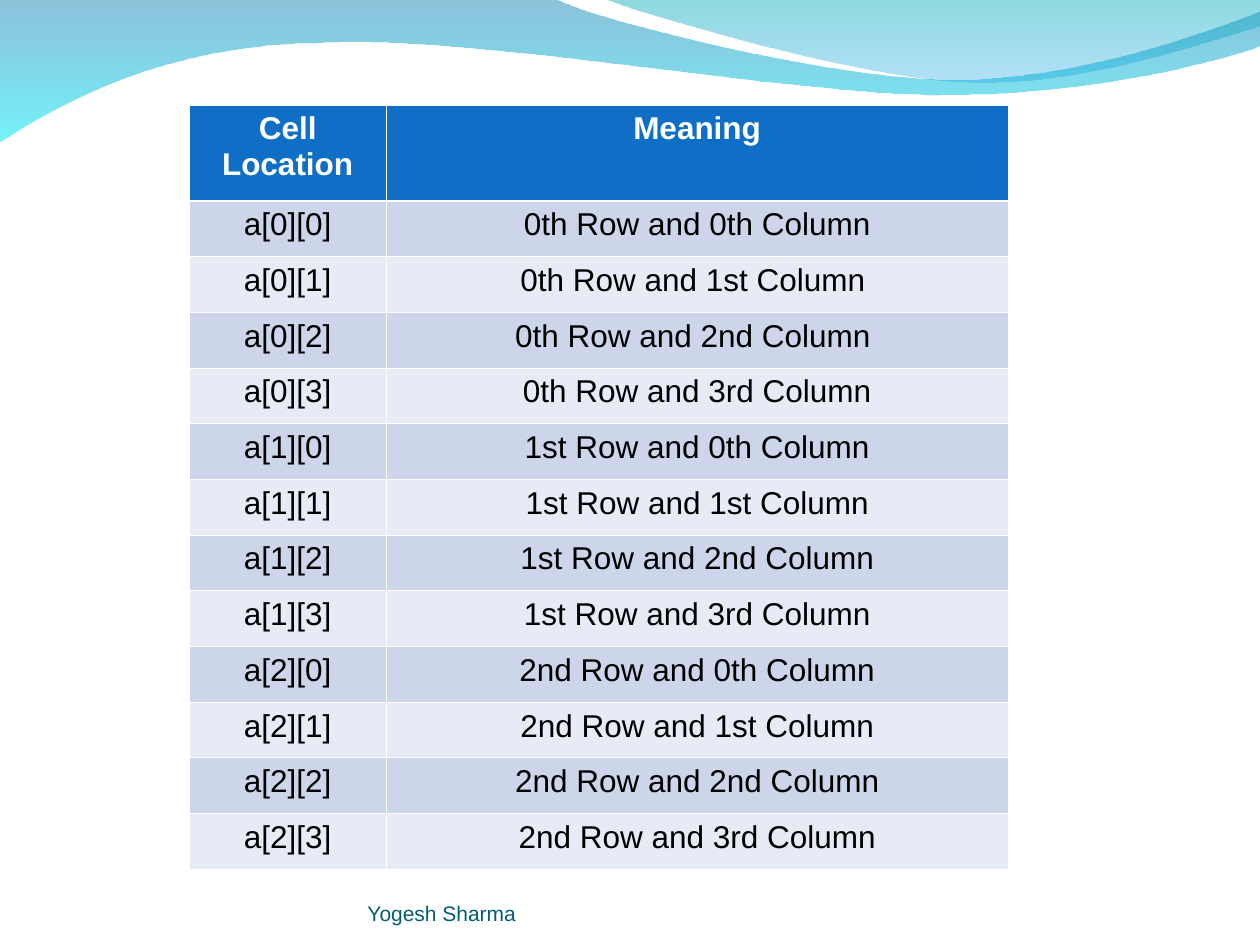
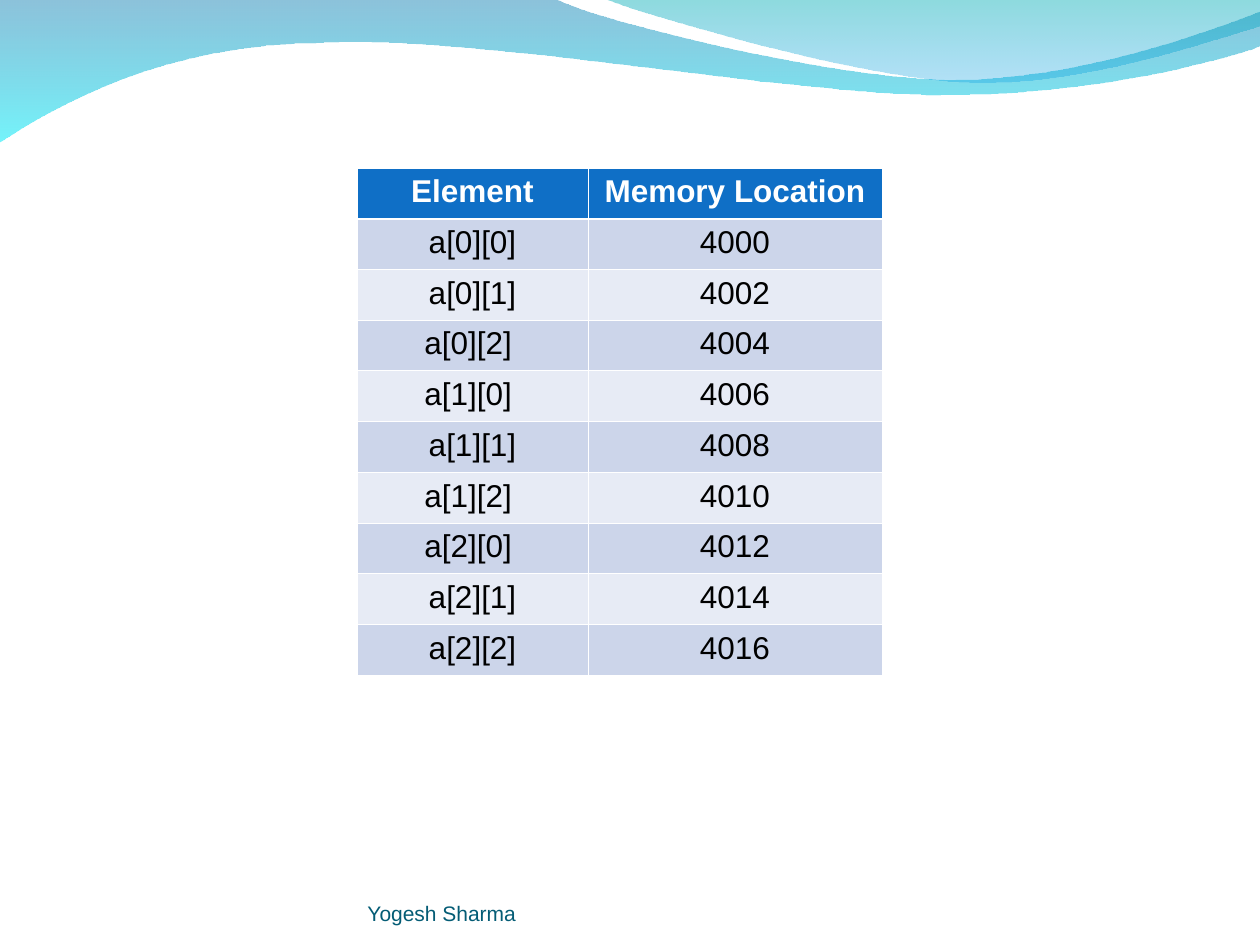
import itertools

import lxml.etree
import pptx
import pptx.dml.color
import pptx.enum.text
import pptx.oxml.ns
import pptx.util

COLORS = {
    "white": "FFFFFF",
    "black": "000000",
    "header": "0F6FC6",
    "odd_row": "CCD5EA",
    "even_row": "E7EBF5",
    "footer": "045C75",
    "wide_top": "0079AF",
    "wide_bottom": "00EBF8",
    "right_top": "00ADB6",
    "right_bottom": "009BE5",
}
FONT = "Arial"
GRID_COLUMNS, GRID_ROWS = 120, 90
SLIDE_WIDTH, SLIDE_HEIGHT = pptx.util.Inches(10), pptx.util.Inches(7.5)
THIN, THICK = 0.45, 1.47
WAVE_BOX = (0, 0, GRID_COLUMNS, GRID_ROWS)
FOOTER_BOX = (35, 83.4, 44, 4.8)

WIDE_WAVE = [
    [(0, -0.01)],
    [(4.4, -0.01)],
    [(4.76, 0.17), (6.64, 0.63), (7.58, 0.63)],
    [(8.53, 0.63), (9.58, 0.26), (10, 0.09)],
    [(10.01, 0.36)],
    [(9.83, 0.44), (8.7, 0.76), (7.46, 0.75)],
    [(6.22, 0.75), (3.82, 0.28), (2.57, 0.34)],
    [(1.29, 0.35), (0.46, 0.83), (-0.01, 1.13)],
    [(0, -0.01)],
]
RIGHT_WAVE = [
    [(4.79, -0.01)],
    [(5.09, 0.11), (6.82, 0.62), (7.69, 0.65)],
    [(8.56, 0.69), (9.61, 0.32), (10, 0.21)],
    [(10, 0)],
    [(4.79, -0.01)],
]

MEANINGS = [
    "0th Row and 0th Column",
    "0th Row and 1st Column ",
    "0th Row and 2nd Column ",
    "0th Row and 3rd Column",
    "1st Row and 0th Column",
    "1st Row and 1st Column",
    "1st Row and 2nd Column",
    "1st Row and 3rd Column",
    "2nd Row and 0th Column",
    "2nd Row and 1st Column",
    "2nd Row and 2nd Column",
    "2nd Row and 3rd Column",
]
ELEMENTS = [
    "a[0][0]", "a[0][1]", "a[0][2] ",
    "a[1][0] ", "a[1][1]", "a[1][2] ",
    "a[2][0] ", "a[2][1]", "a[2][2]",
]


def rgb(name):
    return pptx.dml.color.RGBColor.from_string(COLORS[name])


def across(columns):
    return round(SLIDE_WIDTH * columns / GRID_COLUMNS)


def down(rows):
    return round(SLIDE_HEIGHT * rows / GRID_ROWS)


def place(box):
    left, top, width, height = box
    return across(left), down(top), across(width), down(height)


def format_text(paragraph, size, color, bold=False):
    for span in paragraph.runs:
        span.font.name = FONT
        span.font.size = pptx.util.Pt(size)
        span.font.bold = bold
        span.font.color.rgb = rgb(color)


def bend(shape, segments):
    steps = iter(list(shape.element.spPr.iter(pptx.oxml.ns.qn("a:lnTo"))))
    for segment in segments[1:]:
        first, *others = itertools.islice(steps, len(segment))
        if others:
            first.tag = pptx.oxml.ns.qn("a:cubicBezTo")
        for step in others:
            first.append(step[0])
            step.getparent().remove(step)


def add_wave(page, box, segments, stops):
    left, top, width, _ = place(box)
    unit = width / 10
    points = [
        (round(left + x * unit), round(top + y * unit))
        for x, y in itertools.chain.from_iterable(segments)
    ]
    builder = page.shapes.build_freeform(*points[0])
    builder.add_line_segments(points[1:], close=True)
    wave = builder.convert_to_shape()
    bend(wave, segments)
    wave.shadow.inherit = False
    wave.line.fill.background()
    wave.fill.gradient()
    wave.fill.gradient_angle = 270
    for stop, (color, _) in zip(wave.fill.gradient_stops, stops):
        stop.color.rgb = rgb(color)
    tints = wave.element.spPr.iter(pptx.oxml.ns.qn("a:srgbClr"))
    for tint, (_, opacity) in zip(tints, stops):
        alpha = lxml.etree.SubElement(tint, pptx.oxml.ns.qn("a:alpha"))
        alpha.set("val", str(opacity * 1000))


def add_footer(page, box):
    footer = page.shapes.add_textbox(*place(box))
    frame = footer.text_frame
    frame.word_wrap = True
    frame.vertical_anchor = pptx.enum.text.MSO_ANCHOR.BOTTOM
    frame.margin_left = frame.margin_right = frame.margin_top = frame.margin_bottom = 0
    frame.text = "Yogesh Sharma"
    format_text(frame.paragraphs[0], 12, "footer")


def add_borders(cell, top, bottom):
    properties = cell._tc.get_or_add_tcPr()
    for side, points in (("L", THIN), ("R", THIN), ("T", top), ("B", bottom)):
        line = lxml.etree.SubElement(properties, pptx.oxml.ns.qn(f"a:ln{side}"))
        line.set("w", str(pptx.util.Pt(points)))
        fill = lxml.etree.SubElement(line, pptx.oxml.ns.qn("a:solidFill"))
        color = lxml.etree.SubElement(fill, pptx.oxml.ns.qn("a:srgbClr"))
        color.set("val", COLORS["white"])


def fill_cell(cell, text, row):
    is_header = row == 0
    add_borders(cell, THICK if row == 1 else THIN, THICK if is_header else THIN)
    cell.fill.solid()
    cell.fill.fore_color.rgb = rgb(
        "header" if is_header else "odd_row" if row % 2 else "even_row"
    )
    cell.text_frame.text = text
    paragraph = cell.text_frame.paragraphs[0]
    paragraph.alignment = pptx.enum.text.PP_ALIGN.CENTER
    format_text(paragraph, 18, "white" if is_header else "black", is_header)


def add_array_table(page, box, column_widths, header_height, records):
    table = page.shapes.add_table(len(records), len(column_widths), *place(box)).table
    table.horz_banding = False
    for column, width in zip(table.columns, column_widths):
        column.width = across(width)
    body_height = (box[3] - header_height) / (len(records) - 1)
    for row, record in enumerate(records):
        table.rows[row].height = down(body_height if row else header_height)
        for column, text in enumerate(record):
            fill_cell(table.cell(row, column), text, row)


def add_array_page(deck, box, column_widths, header_height, records):
    page = deck.slides.add_slide(deck.slide_layouts[6])
    add_wave(page, WAVE_BOX, WIDE_WAVE, [("wide_top", 45), ("wide_bottom", 55)])
    add_wave(page, WAVE_BOX, RIGHT_WAVE, [("right_top", 45), ("right_bottom", 30)])
    add_array_table(page, box, column_widths, header_height, records)
    add_footer(page, FOOTER_BOX)


def main():
    deck = pptx.Presentation()
    deck.slide_width, deck.slide_height = SLIDE_WIDTH, SLIDE_HEIGHT

    locations = [f"a[{row}][{column}]" for row, column in itertools.product(range(3), range(4))]
    cells = [("Cell Location", "Meaning"), *zip(locations, MEANINGS)]
    add_array_page(deck, (18, 10, 78, 72.84), (18.8, 59.2), 9.12, cells)

    addresses = [str(4000 + 2 * index) for index in range(len(ELEMENTS))]
    memory = [("Element", "Memory Location"), *zip(ELEMENTS, addresses)]
    add_array_page(deck, (34, 16, 50, 48.3), (22, 28), 4.83, memory)

    deck.save("out.pptx")


if __name__ == "__main__":
    main()
